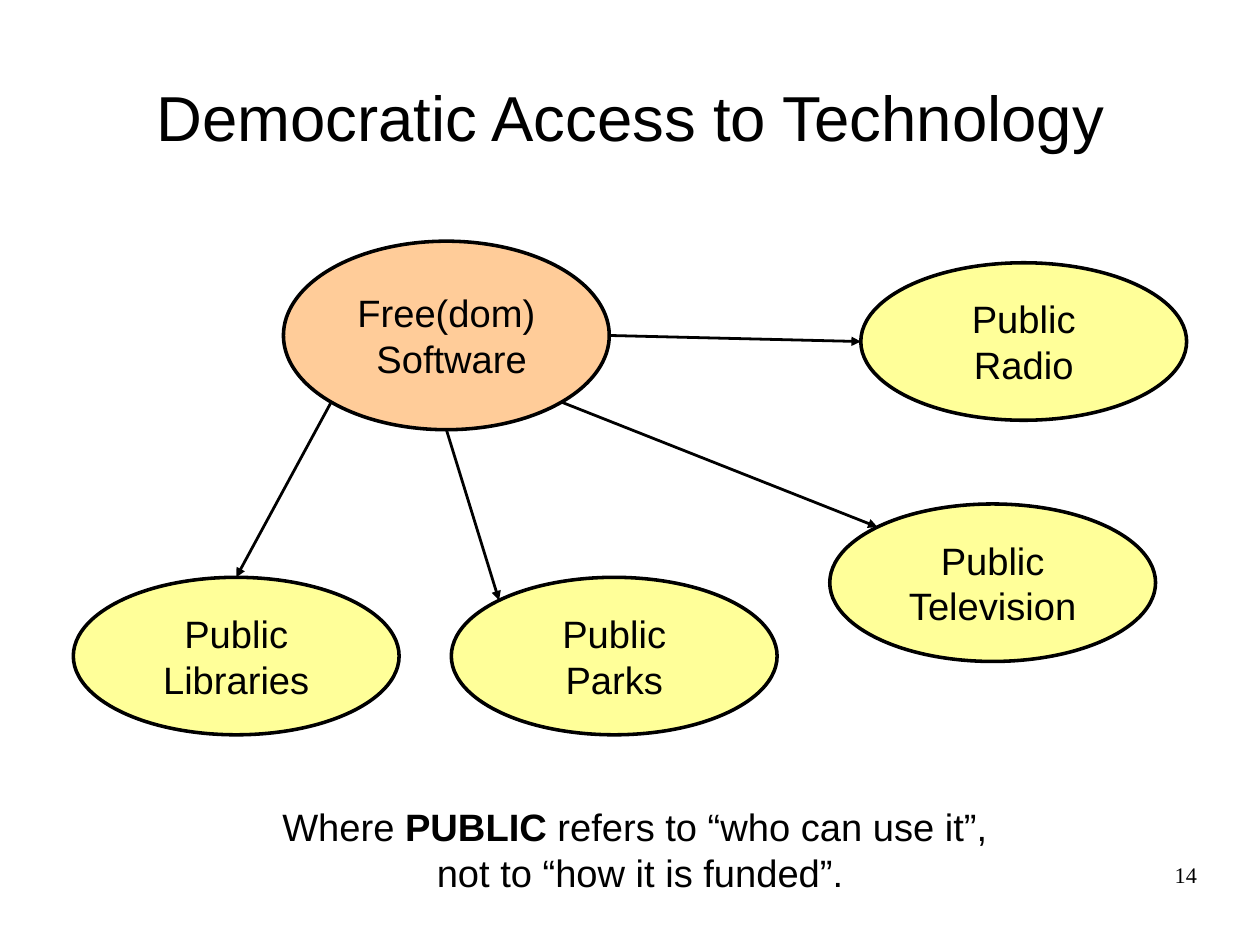
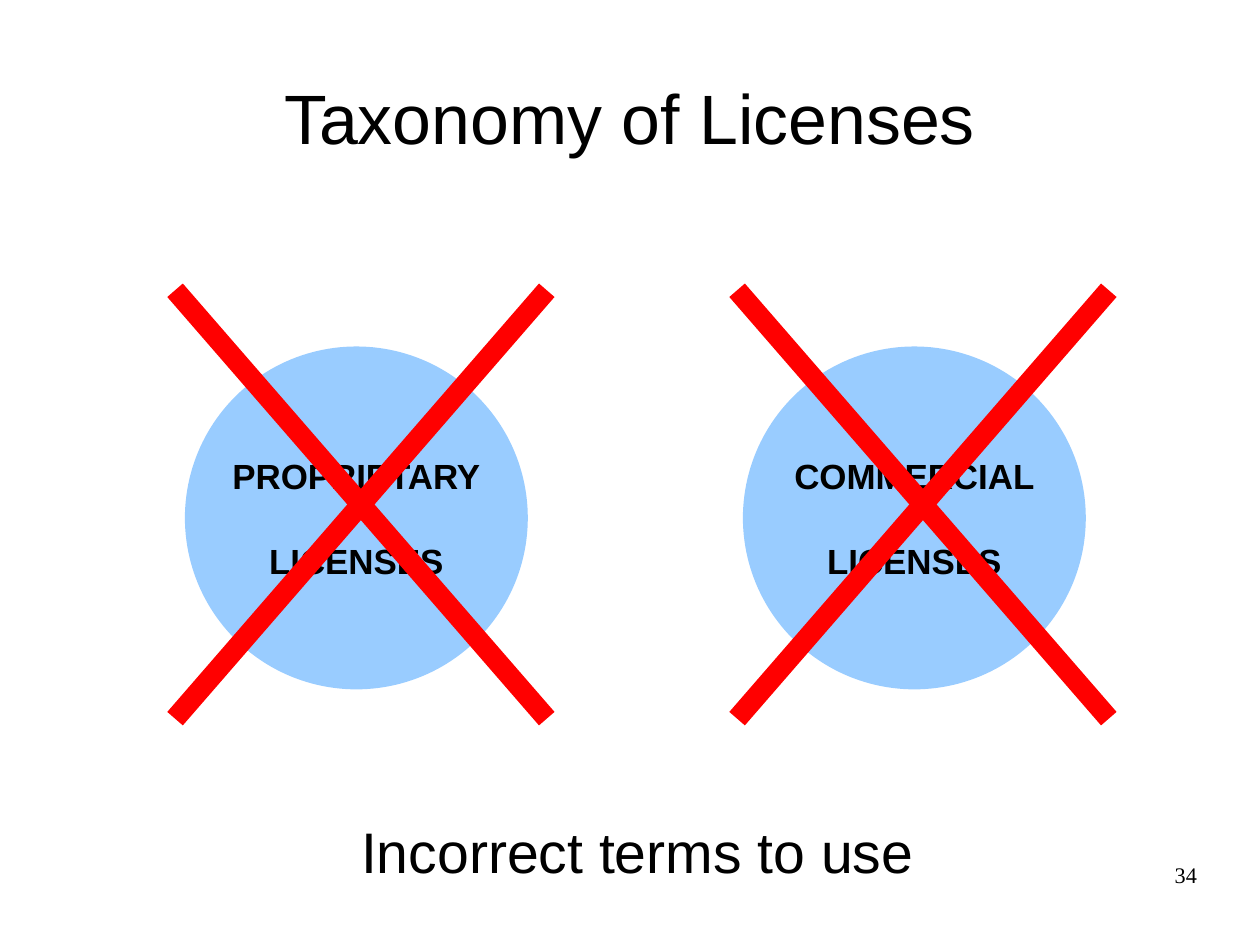
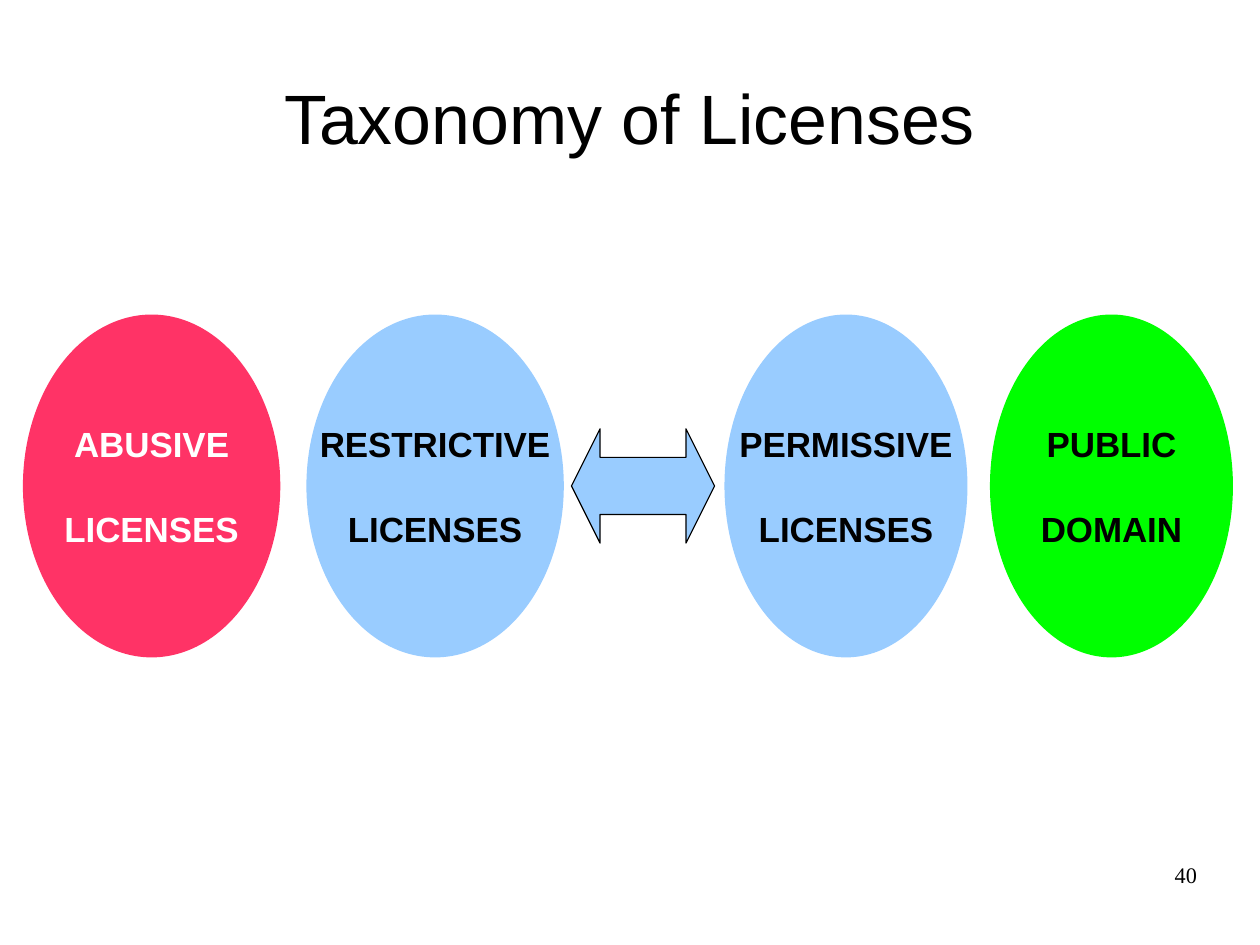
import math
from dataclasses import dataclass

import pptx
import pptx.dml.color
import pptx.enum.shapes
import pptx.enum.text
import pptx.oxml
import pptx.oxml.ns
import pptx.util

Cm = pptx.util.Cm
Pt = pptx.util.Pt
SHAPE = pptx.enum.shapes.MSO_SHAPE
ALIGN = pptx.enum.text.PP_ALIGN
ANCHOR = pptx.enum.text.MSO_ANCHOR


@dataclass(frozen=True)
class Theme:
    sans: str = "Arial"
    serif: str = "Times New Roman"
    black: str = "000000"
    white: str = "FFFFFF"
    orange: str = "FFCC99"
    yellow: str = "FFFF99"
    blue: str = "99CCFF"
    pink: str = "FF3366"
    green: str = "00FF00"
    red: str = "FF0000"
    title: float = 44
    long_title: float = 40
    statement: float = 36
    body: float = 24
    license: float = 22
    page: float = 14
    license_gap: float = 27.5
    outline: float = 2.25
    arrow: float = 1.75
    cross: float = 12.95


THEME = Theme()
SLIDE_SIZE = (28, 21)
TITLE_BOX = (1.4, 0.84, 25.2, 3.5)
PAGE_BOX = (20.07, 19.13, 6.53, 1.45)

ACCESS_TITLE = "Democratic Access to Technology"
SOFTWARE = (["Free(dom)", " Software"], (6.3, 5.36, 7.24, 4.19))
PUBLIC_SIZE = (7.24, 3.5)
PUBLIC_GOODS = [
    ("Radio", (19.13, 5.84), 0, 180),
    ("Television", (18.44, 11.2), 45, 225),
    ("Parks", (10.03, 12.83), 90, 225),
    ("Libraries", (1.63, 12.83), 135, 270),
]
ACCESS_NOTE = [
    [("Where ", False), ("PUBLIC", True), (" refers to “who can use it”, ", False)],
    [("not to “how it is funded”.", False)],
]
ACCESS_NOTE_BOX = (1.4, 17.73, 25.65, 2.16)

TAXONOMY_TITLE = "Taxonomy of Licenses"
WRONG_TERMS = [("PROPRIETARY", 4.11, 3.89), ("COMMERCIAL", 16.51, 16.38)]
WRONG_NOTE = [[("Incorrect terms to use", False)]]
WRONG_NOTE_BOX = (5.59, 18.01, 17.15, 1.68)
LICENSE_HEIGHT = 7.62
WRONG_TOP = 7.7
CROSS_TOP, CROSS_WIDTH, CROSS_HEIGHT = 6.45, 8.26, 9.52

SPECTRUM_TOP = 6.99
SPECTRUM = [
    (["ABUSIVE", "LICENSES"], 0.51, 5.72, THEME.pink, THEME.white),
    (["RESTRICTIVE", "LICENSES"], 6.81, 5.72, THEME.blue, THEME.black),
    (["PERMISSIVE", "LICENSES"], 16.1, 5.4, THEME.blue, THEME.black),
    (["PUBLIC", "DOMAIN"], 22, 5.4, THEME.green, THEME.black),
]
RANGE_ARROW = (12.7, 9.53, 3.18, 2.54)


def rgb(value):
    return pptx.dml.color.RGBColor.from_string(value)


def lengths(box):
    return [Cm(value) for value in box]


def style(run, size, color=THEME.black, bold=False, face=THEME.sans):
    run.font.name = face
    run.font.size = Pt(size)
    run.font.bold = bold
    run.font.color.rgb = rgb(color)


def add_text(slide, box, lines, size, align=ALIGN.CENTER, anchor=ANCHOR.TOP,
             face=THEME.sans, inset=(0.25, 0.13)):
    frame = slide.shapes.add_textbox(*lengths(box)).text_frame
    frame.word_wrap = True
    frame.vertical_anchor = anchor
    frame.margin_left = frame.margin_right = Cm(inset[0])
    frame.margin_top = frame.margin_bottom = Cm(inset[1])
    paragraph = frame.paragraphs[0]
    paragraph.alignment = align
    for index, line in enumerate(lines):
        if index:
            paragraph.add_line_break()
        for words, bold in line:
            run = paragraph.add_run()
            run.text = words
            style(run, size, bold=bold, face=face)


def add_filled(slide, kind, box, fill, outline=None):
    shape = slide.shapes.add_shape(kind, *lengths(box))
    shape.shadow.inherit = False
    shape.fill.solid()
    shape.fill.fore_color.rgb = rgb(fill)
    if outline is None:
        shape.line.fill.background()
    else:
        shape.line.color.rgb = rgb(THEME.black)
        shape.line.width = Pt(outline)
    return shape


def add_ellipse(slide, box, lines, fill, size, color=THEME.black, outline=None,
                bold=False, gap=0):
    frame = add_filled(slide, SHAPE.OVAL, box, fill, outline).text_frame
    frame.word_wrap = False
    frame.vertical_anchor = ANCHOR.MIDDLE
    frame.text = "\n".join(lines)
    for index, paragraph in enumerate(frame.paragraphs):
        paragraph.alignment = ALIGN.CENTER
        if index and gap:
            paragraph.space_before = Pt(gap)
        style(paragraph.runs[0], size, color, bold)


def add_license(slide, box, lines, fill, color=THEME.black):
    add_ellipse(slide, box, lines, fill, THEME.license, color, bold=True,
                gap=THEME.license_gap)


def add_line(slide, start, end, color, width, arrow=False):
    line = slide.shapes.add_connector(
        pptx.enum.shapes.MSO_CONNECTOR.STRAIGHT, *lengths(start + end))
    line.line.color.rgb = rgb(color)
    line.line.width = Pt(width)
    if arrow:
        line.line._get_or_add_ln().append(pptx.oxml.parse_xml(
            f'<a:tailEnd {pptx.oxml.ns.nsdecls("a")} type="triangle"/>'))
    line._element.spPr.append(pptx.oxml.parse_xml(
        f'<a:effectLst {pptx.oxml.ns.nsdecls("a")}/>'))


def rim_point(box, degrees):
    left, top, width, height = box
    angle = math.radians(degrees)
    return (left + width / 2 * (1 + math.cos(angle)),
            top + height / 2 * (1 + math.sin(angle)))


def add_slide(deck, title, page, title_size=THEME.title):
    slide = deck.slides.add_slide(deck.slide_layouts[6])
    add_text(slide, TITLE_BOX, [[(title, False)]], title_size, anchor=ANCHOR.MIDDLE)
    add_text(slide, PAGE_BOX, [[(page, False)]], THEME.page, ALIGN.RIGHT,
             face=THEME.serif, inset=(0, 0))
    return slide


def build_access(deck):
    slide = add_slide(deck, ACCESS_TITLE, "14", THEME.long_title)
    words, hub = SOFTWARE
    add_ellipse(slide, hub, words, THEME.orange, THEME.body, outline=THEME.outline)
    for good, corner, leave, arrive in PUBLIC_GOODS:
        box = corner + PUBLIC_SIZE
        add_ellipse(slide, box, ["Public", good], THEME.yellow, THEME.body,
                    outline=THEME.outline)
        add_line(slide, rim_point(hub, leave), rim_point(box, arrive),
                 THEME.black, THEME.arrow, arrow=True)
    add_text(slide, ACCESS_NOTE_BOX, ACCESS_NOTE, THEME.body)


def build_wrong_terms(deck):
    slide = add_slide(deck, TAXONOMY_TITLE, "34")
    bottom = CROSS_TOP + CROSS_HEIGHT
    for term, left, cross_left in WRONG_TERMS:
        add_license(slide, (left, WRONG_TOP, LICENSE_HEIGHT, LICENSE_HEIGHT),
                    [term, "LICENSES"], THEME.blue)
        right = cross_left + CROSS_WIDTH
        for start, end in [(CROSS_TOP, bottom), (bottom, CROSS_TOP)]:
            add_line(slide, (cross_left, start), (right, end), THEME.red, THEME.cross)
    add_text(slide, WRONG_NOTE_BOX, WRONG_NOTE, THEME.statement)


def build_spectrum(deck):
    slide = add_slide(deck, TAXONOMY_TITLE, "40")
    for lines, left, width, fill, color in SPECTRUM:
        add_license(slide, (left, SPECTRUM_TOP, width, LICENSE_HEIGHT),
                    lines, fill, color)
    arrow = add_filled(slide, SHAPE.LEFT_RIGHT_ARROW, RANGE_ARROW, THEME.blue, 0)
    arrow.adjustments[0] = 0.5
    arrow.adjustments[1] = 0.25


def main():
    deck = pptx.Presentation()
    deck.slide_width, deck.slide_height = lengths(SLIDE_SIZE)
    build_access(deck)
    build_wrong_terms(deck)
    build_spectrum(deck)
    deck.save("out.pptx")


if __name__ == "__main__":
    main()
